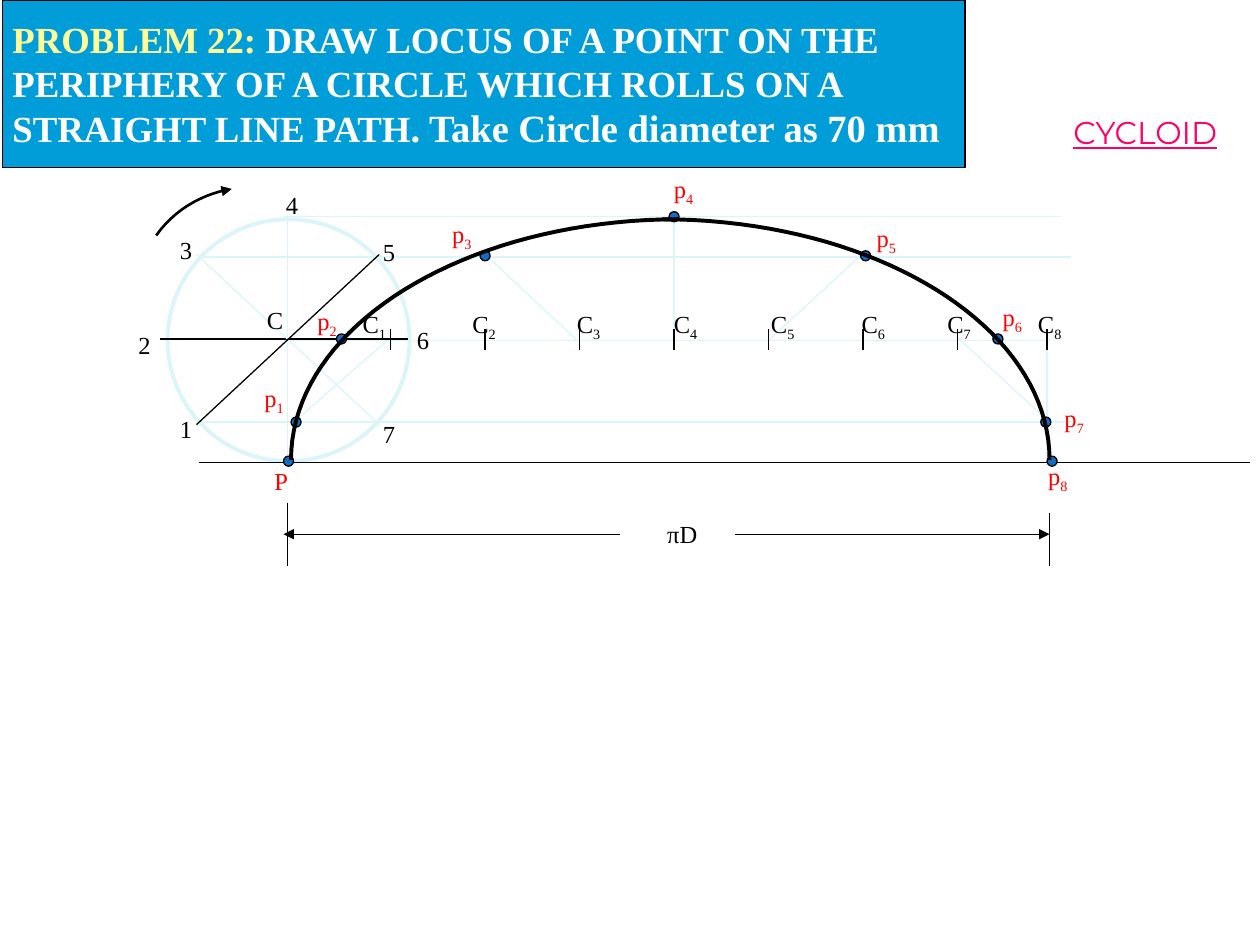
from dataclasses import dataclass

from lxml import etree
from pptx import Presentation
from pptx.dml.color import RGBColor
from pptx.enum.shapes import MSO_CONNECTOR, MSO_SHAPE
from pptx.enum.text import MSO_AUTO_SIZE, PP_ALIGN
from pptx.oxml.ns import qn
from pptx.util import Inches, Pt

STRAIGHT = MSO_CONNECTOR.STRAIGHT
OVAL, RECTANGLE = MSO_SHAPE.OVAL, MSO_SHAPE.RECTANGLE
GROW = MSO_AUTO_SIZE.SHAPE_TO_FIT_TEXT
LEFT, CENTER = PP_ALIGN.LEFT, PP_ALIGN.CENTER

COLORS = {
    "black": "000000", "white": "FFFFFF", "pale": "DBF5F9", "red": "FF0000",
    "dot": "0F6FC6", "banner": "009DD9", "yellow": "FFFF99", "pink": "FF0066",
}
SERIF, SANS = "Times New Roman", "Montserrat"
Point = tuple[float, float]


@dataclass
class Span:
    text: str
    color: str = "black"
    size: float = 14
    font: str = SERIF
    bold: bool = False
    underline: bool = False
    subscript: bool = False


@dataclass
class Segment:
    start: Point
    end: Point
    color: str = "black"
    arrow: bool = False


@dataclass
class Label:
    name: str
    left: float
    top: float
    width: float = 0.3
    color: str = "black"


def rgb(name: str) -> RGBColor:
    return RGBColor.from_string(COLORS[name])


def set_line(shape, color: str, width: float, arrow: bool = False) -> None:
    shape.line.color.rgb = rgb(color)
    shape.line.width = Pt(width)
    if arrow:
        outline = shape.line._get_or_add_ln()
        etree.SubElement(outline, qn("a:tailEnd"), type="triangle")


def draw_segment(page, segment: Segment) -> None:
    points = [Inches(value) for value in (*segment.start, *segment.end)]
    line = page.shapes.add_connector(STRAIGHT, *points)
    set_line(line, segment.color, 0.75, segment.arrow)
    etree.SubElement(line._element.spPr, qn("a:effectLst"))


def draw_shape(page, preset, left: float, top: float, width: float, height: float,
               fill: str, outline: str = "black", weight: float = 0.75) -> None:
    shape = page.shapes.add_shape(
        preset, Inches(left), Inches(top), Inches(width), Inches(height))
    shape.shadow.inherit = False
    shape.fill.solid()
    shape.fill.fore_color.rgb = rgb(fill)
    set_line(shape, outline, weight)


def draw_curve(page, controls: list[Point], width: float, arrow: bool = False) -> None:
    """Draw a cubic curve through short straight steps."""
    steps = 40
    points = []
    for step in range(steps + 1):
        t = step / steps
        weights = ((1 - t) ** 3, 3 * t * (1 - t) ** 2, 3 * t * t * (1 - t), t ** 3)
        points.append(tuple(
            Inches(sum(w * c[axis] for w, c in zip(weights, controls)))
            for axis in (0, 1)))
    builder = page.shapes.build_freeform(*points[0])
    builder.add_line_segments(points[1:], close=False)
    curve = builder.convert_to_shape()
    curve.shadow.inherit = False
    curve.fill.background()
    set_line(curve, "black", width, arrow)


def draw_text(page, left: float, top: float, width: float, height: float,
              spans: list[Span], wrap: bool = False, align=LEFT,
              tabs: tuple[float, ...] = ()) -> None:
    box = page.shapes.add_textbox(
        Inches(left), Inches(top), Inches(width), Inches(height))
    frame = box.text_frame
    frame.word_wrap = wrap
    frame.auto_size = GROW
    para = frame.paragraphs[0]
    para.alignment = align
    if tabs:
        tab_list = etree.SubElement(para._p.get_or_add_pPr(), qn("a:tabLst"))
        for stop in tabs:
            etree.SubElement(tab_list, qn("a:tab"), pos=str(Inches(stop)), algn="l")
    for span in spans:
        run = para.add_run()
        run.text = span.text
        font = run.font
        font.name, font.size = span.font, Pt(span.size)
        font.color.rgb = rgb(span.color)
        font.bold, font.underline = span.bold, span.underline
        if span.subscript:
            run._r.get_or_add_rPr().set("baseline", "-25000")


def draw_label(page, label: Label) -> None:
    """Write a letter or digit; anything after the first sign is a subscript."""
    spans = [Span(label.name[0], label.color)]
    if label.name[1:]:
        spans.append(Span(label.name[1:], label.color, subscript=True))
    draw_text(page, label.left, label.top, label.width, 0.33, spans)


TICKS = [3.1 + 0.75 * number for number in range(7)] + [8.31]
CENTER_TABS = (0.87, 1.7, 2.47, 3.24, 3.96, 4.64, 5.36)

CIRCLE_LINES = [
    Segment((1.58, 3.67), (9.92, 3.67)),
    Segment((2.28, 1.71), (2.28, 3.68), "pale"),
    Segment((1.27, 2.69), (3.24, 2.69)),
    Segment((1.56, 2.02), (3.01, 3.37), "pale"),
    Segment((3.01, 2.02), (1.56, 3.37)),
]
LEVELS = [(2.25, 8.33, 2.7), (1.58, 8.5, 3.35), (1.58, 8.5, 2.04), (2.25, 8.42, 1.72)]
RADII = [
    Segment((3.1, 2.68), (2.33, 3.35), "pale"),
    Segment((4.59, 2.71), (3.85, 2.02), "pale"),
    Segment((6.1, 2.7), (6.85, 2.01), "pale"),
    Segment((7.6, 2.68), (8.35, 3.37), "pale"),
    Segment((5.35, 1.72), (5.35, 2.64), "pale"),
    Segment((8.31, 2.75), (8.31, 3.67), "pale"),
]
LOCUS_LABELS = [(2, 2.99), (2.42, 2.38), (3.49, 1.69), (5.25, 1.33),
                (6.86, 1.72), (7.86, 2.35), (8.35, 3.15), (8.22, 3.61)]
DOTS = [(2.25, 3.62), (2.31, 3.31), (2.67, 2.65), (3.81, 1.99), (5.31, 1.68),
        (6.83, 1.99), (7.88, 2.65), (8.26, 3.31), (8.31, 3.62)]
DIVISION_LABELS = [(1.33, 3.24), (1, 2.57), (1.33, 1.82), (2.17, 1.46),
                   (2.94, 1.83), (3.21, 2.53), (2.94, 3.28)]
DIMENSION_LINES = [
    Segment((2.28, 3.99), (2.28, 4.49)),
    Segment((8.33, 4.07), (8.33, 4.49)),
    Segment((4.92, 4.24), (2.25, 4.24), arrow=True),
    Segment((5.83, 4.24), (8.33, 4.24), arrow=True),
]


def main() -> None:
    deck = Presentation()
    deck.slide_width, deck.slide_height = Inches(10), Inches(7.5)
    page = deck.slides.add_slide(deck.slide_layouts[6])

    # Rolling circle, construction lines and ticks at the centre positions
    draw_shape(page, OVAL, 1.33, 1.74, 1.92, 1.92, "white", "pale", 2.25)
    levels = [Segment((x1, y), (x2, y), "pale") for x1, x2, y in LEVELS]
    ticks = [Segment((x, 2.61), (x, 2.78)) for x in TICKS]
    for segment in levels + RADII + CIRCLE_LINES + ticks:
        draw_segment(page, segment)

    # Centre names, in front of the lines so the subscripts stay whole
    centers = []
    for number in range(1, 9):
        centers.append(Span("C" if number == 1 else "\tC"))
        centers.append(Span(str(number), subscript=True))
    draw_text(page, 2.78, 2.4, 5.9, 0.33, centers, wrap=True, tabs=CENTER_TABS)

    # Points of the locus and their names
    draw_label(page, Label("P", 2.08, 3.65, 0.31, "red"))
    for number, (left, top) in enumerate(LOCUS_LABELS, 1):
        draw_label(page, Label(f"p{number}", left, top, 0.36, "red"))
    for left, top in DOTS:
        draw_shape(page, OVAL, left, top, 0.08, 0.08, "dot")

    # Circle divisions
    for number, (left, top) in enumerate(DIVISION_LABELS, 1):
        draw_label(page, Label(str(number), left, top))
    draw_label(page, Label("C", 2.02, 2.37, 0.33))

    # Rolling direction and the two halves of the cycloid
    draw_curve(page, [(1.24, 1.87), (1.38, 1.67), (1.6, 1.54), (1.84, 1.5)], 1.5, True)
    draw_curve(page, [(5.39, 1.74), (3.69, 1.74), (2.31, 2.59), (2.31, 3.65)], 2.25)
    draw_curve(page, [(5.25, 1.74), (6.95, 1.74), (8.33, 2.59), (8.33, 3.65)], 2.25)

    # Dimension of the base
    for segment in DIMENSION_LINES:
        draw_segment(page, segment)
    draw_text(page, 5, 4.07, 0.83, 0.33, [Span("πD")], wrap=True, align=CENTER)

    # Curve name and problem banner
    draw_text(page, 8.42, 0.85, 1.45, 0.4,
              [Span("CYCLOID", "pink", 18, SANS, underline=True)])
    draw_shape(page, RECTANGLE, 0.02, 0, 7.64, 1.33, "banner")
    draw_text(page, 0, 0.08, 7.67, 1.18, [
        Span("PROBLEM 22: ", "yellow", 21, bold=True),
        Span("DRAW LOCUS OF A POINT ON THE PERIPHERY OF A CIRCLE WHICH ROLLS "
             "ON A STRAIGHT LINE PATH", "white", 21, bold=True),
        Span(". Take Circle diameter as 70 mm", "white", 22, bold=True),
    ], wrap=True)

    deck.save("out.pptx")


if __name__ == "__main__":
    main()
